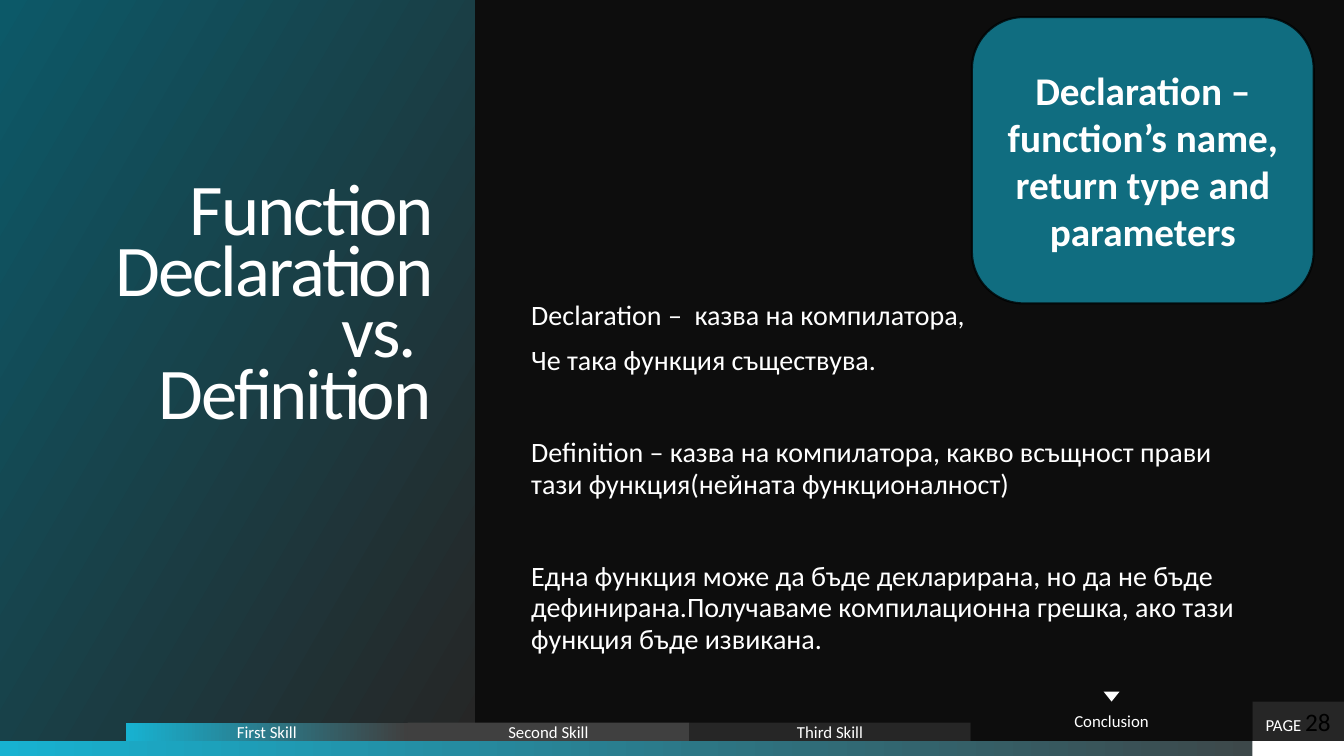
from dataclasses import dataclass

from lxml.etree import SubElement
from pptx import Presentation
from pptx.dml.color import RGBColor
from pptx.dml.fill import FillFormat
from pptx.enum.shapes import MSO_SHAPE
from pptx.enum.text import MSO_ANCHOR, PP_ALIGN
from pptx.oxml.ns import qn
from pptx.shapes.autoshape import Shape
from pptx.slide import Slide
from pptx.util import Inches, Length, Pt

PAGE_WIDTH, PAGE_HEIGHT = 13.33, 7.5
FONT = "Calibri"
WHITE, BLACK, NIGHT = "FFFFFF", "000000", "0D0D0D"
CHARCOAL, GREY = "262626", "404040"
CYAN, TEAL, DEEP_TEAL = "17B2D1", "11869D", "0C5968"

STRIP_TOP = 98
TAB_LEFT, TAB_WIDTH = 9.38, 20.95
TAB_HEIGHT, TALL_TAB_HEIGHT = 2.4, 5.2


@dataclass(frozen=True)
class Area:
    """Position and size as percentages of the slide."""

    left: float
    top: float
    width: float
    height: float

    def lengths(self) -> tuple[Length, ...]:
        return (
            Inches(self.left / 100 * PAGE_WIDTH),
            Inches(self.top / 100 * PAGE_HEIGHT),
            Inches(self.width / 100 * PAGE_WIDTH),
            Inches(self.height / 100 * PAGE_HEIGHT),
        )


@dataclass(frozen=True)
class Tab:
    label: str
    colors: tuple[str, ...]
    height: float = TAB_HEIGHT


@dataclass(frozen=True)
class Statement:
    text: str
    space_before: float = 10


TABS = (
    Tab("First Skill", (CYAN, GREY)),
    Tab("Second Skill", (GREY,)),
    Tab("Third Skill", (CHARCOAL,)),
    Tab("Conclusion", (NIGHT,), TALL_TAB_HEIGHT),
)
PAGE_LEFT = TAB_LEFT + len(TABS) * TAB_WIDTH
PAGE_SHARE = 100 - PAGE_LEFT

STATEMENTS = (
    Statement("Declaration –  казва на компилатора,"),
    Statement("Че така функция съществува."),
    Statement(
        "Definition – казва на компилатора, какво всъщност прави "
        "тази функция(нейната функционалност)",
        space_before=43,
    ),
    Statement(
        "Една функция може да бъде декларирана, но да не бъде "
        "дефинирана.Получаваме компилационна грешка, ако тази "
        "функция бъде извикана.",
        space_before=43,
    ),
)


def color(value: str) -> RGBColor:
    return RGBColor.from_string(value)


def paint(fill: FillFormat, colors: tuple[str, ...], angle: float = 0) -> None:
    if len(colors) == 1:
        fill.solid()
        fill.fore_color.rgb = color(colors[0])
        return
    fill.gradient()
    fill.gradient_angle = angle
    for stop, value in zip(fill.gradient_stops, colors):
        stop.color.rgb = color(value)


def set_opacity(box: Shape, percent: int) -> None:
    for value in box._element.spPr.iter(qn("a:srgbClr")):
        SubElement(value, qn("a:alpha")).set("val", str(percent * 1000))


def add_box(
    page: Slide,
    area: Area,
    *colors: str,
    kind: MSO_SHAPE = MSO_SHAPE.RECTANGLE,
    angle: float = 0,
) -> Shape:
    box = page.shapes.add_shape(kind, *area.lengths())
    box.shadow.inherit = False
    box.line.fill.background()
    paint(box.fill, colors, angle)
    return box


def set_frame(
    box: Shape, horizontal: float = 0.1, top: float = 0.05, bottom: float = 0.05
) -> None:
    frame = box.text_frame
    frame.word_wrap = True
    frame.vertical_anchor = MSO_ANCHOR.MIDDLE
    frame.margin_left = frame.margin_right = Inches(horizontal)
    frame.margin_top, frame.margin_bottom = Inches(top), Inches(bottom)


def write(
    box: Shape,
    text: str,
    *,
    size: float = 12,
    ink: str = WHITE,
    bold: bool = False,
    align: PP_ALIGN = PP_ALIGN.CENTER,
    line_spacing: float = 1,
    space_before: float = 0,
    tracking: float = 0,
    same_line: bool = False,
) -> None:
    frame = box.text_frame
    para = frame.paragraphs[-1]
    if para.runs and not same_line:
        para = frame.add_paragraph()
    para.alignment = align
    para.line_spacing = line_spacing
    para.space_before = Pt(space_before)
    for index, line in enumerate(text.split("\n")):
        if index:
            para.add_line_break()
        span = para.add_run()
        span.text = line
        span.font.name = FONT
        span.font.size = Pt(size)
        span.font.bold = bold
        span.font.color.rgb = color(ink)
        if tracking:
            span._r.get_or_add_rPr().set("spc", str(round(tracking * 100)))


def add_content(page: Slide) -> None:
    title = add_box(page, Area(0, 0, 35.33, STRIP_TOP), CHARCOAL, DEEP_TEAL, angle=150)
    set_frame(title, horizontal=0.43, top=0, bottom=1.22)
    write(title, "Function Declaration vs. \nDefinition", size=52,
          align=PP_ALIGN.RIGHT, line_spacing=0.7, tracking=-1.5)

    body = page.shapes.add_textbox(*Area(38.63, 34, 54.55, 58.4).lengths())
    set_frame(body, horizontal=0.12, top=0.12, bottom=0.12)
    for statement in STATEMENTS:
        write(body, statement.text, size=20, align=PP_ALIGN.LEFT,
              line_spacing=0.94, space_before=statement.space_before)

    callout = add_box(page, Area(72.32, 2.27, 25.43, 37.87), TEAL,
                      kind=MSO_SHAPE.ROUNDED_RECTANGLE)
    callout.adjustments[0] = 0.18
    callout.line.color.rgb = color(BLACK)
    callout.line.width = Pt(1.5)
    set_opacity(callout, 80)
    set_frame(callout)
    for text in ("Declaration – function’s name, return type and", "parameters"):
        write(callout, text, size=28, bold=True)


def add_navigation(page: Slide) -> None:
    strip_height = 100 - STRIP_TOP
    add_box(page, Area(0, STRIP_TOP, 100, strip_height), CYAN, GREY)
    add_box(page, Area(PAGE_LEFT, STRIP_TOP, PAGE_SHARE, strip_height), WHITE)

    tall_top = STRIP_TOP - TALL_TAB_HEIGHT
    number = add_box(page, Area(PAGE_LEFT, tall_top, PAGE_SHARE, TALL_TAB_HEIGHT), CHARCOAL)
    set_frame(number)
    write(number, "PAGE ")
    write(number, "28", size=18, ink=BLACK, same_line=True)

    for index, tab in enumerate(TABS):
        area = Area(TAB_LEFT + index * TAB_WIDTH, STRIP_TOP - tab.height, TAB_WIDTH, tab.height)
        box = add_box(page, area, *tab.colors)
        set_frame(box)
        write(box, tab.label)

    marker_width, marker_height = 1.2, 1.33
    marker_left = PAGE_LEFT - (TAB_WIDTH + marker_width) / 2
    marker = add_box(page, Area(marker_left, tall_top - marker_height, marker_width, marker_height),
                     WHITE, kind=MSO_SHAPE.ISOSCELES_TRIANGLE)
    marker.rotation = 180


def main() -> None:
    deck = Presentation()
    deck.slide_width, deck.slide_height = Inches(PAGE_WIDTH), Inches(PAGE_HEIGHT)
    page = deck.slides.add_slide(deck.slide_layouts[6])
    paint(page.background.fill, (NIGHT,))
    add_content(page)
    add_navigation(page)
    deck.save("out.pptx")


if __name__ == "__main__":
    main()
